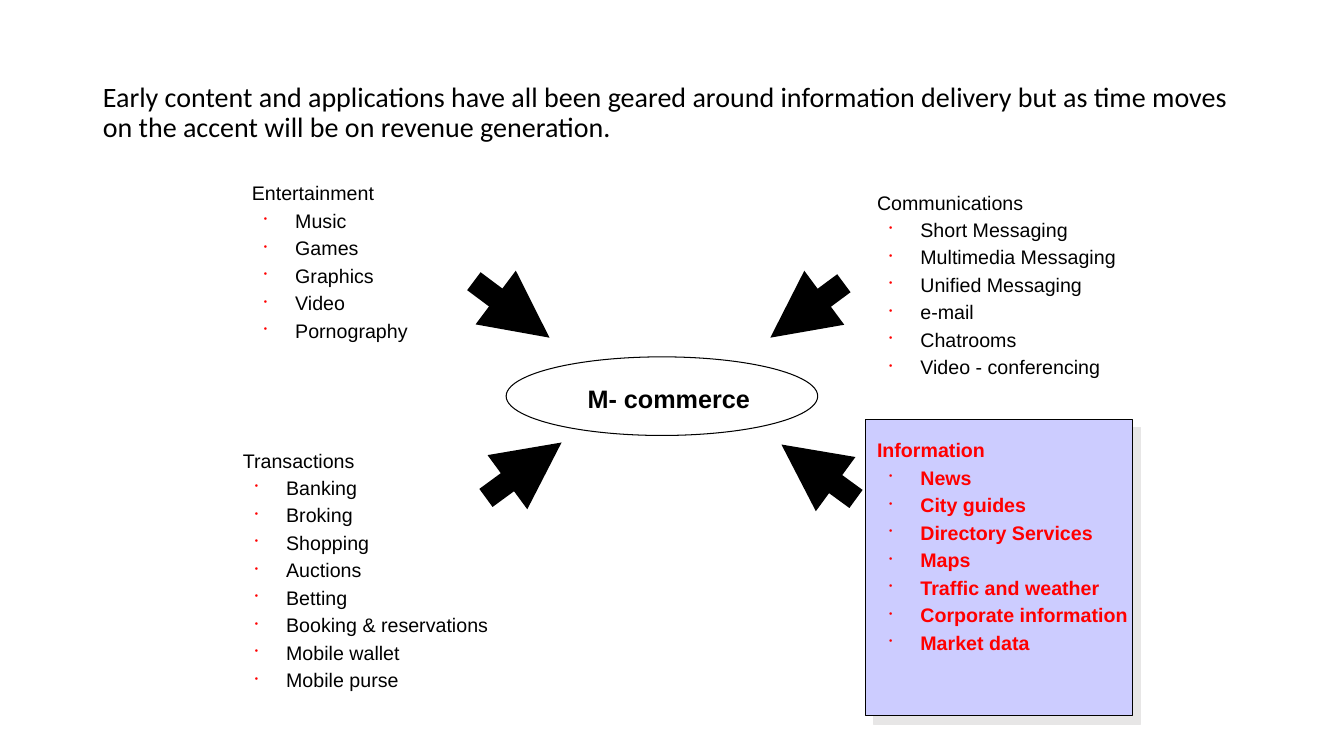
from dataclasses import dataclass

from lxml.etree import SubElement
from pptx import Presentation
from pptx.dml.color import RGBColor
from pptx.enum.shapes import MSO_CONNECTOR, MSO_SHAPE
from pptx.enum.text import MSO_ANCHOR, MSO_AUTO_SIZE, PP_ALIGN
from pptx.oxml.ns import qn
from pptx.shapes.autoshape import Shape
from pptx.slide import Slide
from pptx.util import Inches, Pt

BLACK = RGBColor(0x00, 0x00, 0x00)
RED = RGBColor(0xFF, 0x00, 0x00)
LAVENDER = RGBColor(0xCC, 0xCC, 0xFF)
SHADOW_GRAY = RGBColor(0xE7, 0xE6, 0xE6)


@dataclass
class Category:
    heading: str
    items: list[str]
    left: float
    top: float
    width: float
    highlighted: bool = False


@dataclass
class Arrow:
    start: tuple[float, float]
    end: tuple[float, float]


CATEGORIES = [
    Category("Entertainment", ["Music", "Games", "Graphics", "Video", "Pornography"],
             2.02, 1.75, 2.56),
    Category("Communications",
             ["Short Messaging", "Multimedia Messaging", "Unified Messaging",
              "e-mail", "Chatrooms", "Video - conferencing"],
             8.22, 1.84, 3.45),
    Category("Transactions",
             ["Banking", "Broking", "Shopping", "Auctions", "Betting",
              "Booking & reservations", "Mobile wallet", "Mobile purse"],
             1.93, 4.4, 3.11),
    Category("Information",
             ["News", "City guides", "Directory Services", "Maps",
              "Traffic and weather", "Corporate information", "Market data"],
             8.22, 4.3, 3.45, highlighted=True),
]

ARROWS = [
    Arrow((4.7, 2.79), (5.45, 3.35)),
    Arrow((8.37, 2.81), (7.64, 3.35)),
    Arrow((4.82, 4.94), (5.57, 4.39)),
    Arrow((8.49, 4.95), (7.75, 4.41)),
]


def add_title(slide: Slide, text: str) -> None:
    title = slide.shapes.title
    title.left, title.top = Inches(0.92), Inches(0.4)
    title.width, title.height = Inches(11.5), Inches(1.45)
    frame = title.text_frame
    frame.text = text
    frame.auto_size = MSO_AUTO_SIZE.NONE
    frame.vertical_anchor = MSO_ANCHOR.MIDDLE
    paragraph = frame.paragraphs[0]
    paragraph.alignment = PP_ALIGN.LEFT
    paragraph.line_spacing = 0.9
    paragraph.font.name = "Calibri"
    paragraph.font.size = Pt(20)
    paragraph.font.color.rgb = BLACK


def add_outlined_shape(slide: Slide, kind: MSO_SHAPE, left: float, top: float,
                       width: float, height: float) -> Shape:
    shape = slide.shapes.add_shape(
        kind, Inches(left), Inches(top), Inches(width), Inches(height))
    shape.shadow.inherit = False
    shape.fill.background()
    shape.line.color.rgb = BLACK
    shape.line.width = Pt(0.75)
    return shape


def add_drop_shadow(shape: Shape) -> None:
    effects = shape._element.spPr.find(qn("a:effectLst"))
    shadow = SubElement(effects, qn("a:outerShdw"), dist=str(Pt(8.5)),
                        dir=str(45 * 60000), algn="ctr", rotWithShape="0")
    SubElement(shadow, qn("a:srgbClr"), val=str(SHADOW_GRAY))


def add_arrow(slide: Slide, arrow: Arrow) -> None:
    points = [Inches(value) for value in (*arrow.start, *arrow.end)]
    connector = slide.shapes.add_connector(MSO_CONNECTOR.STRAIGHT, *points)
    connector.line.color.rgb = BLACK
    connector.line.width = Pt(16)
    SubElement(connector.line._get_or_add_ln(), qn("a:tailEnd"), type="triangle")
    SubElement(connector._element.spPr, qn("a:effectLst"))


def add_category(slide: Slide, category: Category) -> None:
    box = slide.shapes.add_textbox(Inches(category.left), Inches(category.top),
                                   Inches(category.width), Inches(1.5))
    frame = box.text_frame
    frame.word_wrap = True
    frame.text = "\n".join([category.heading, *category.items])
    for index, paragraph in enumerate(frame.paragraphs):
        properties = paragraph._p.get_or_add_pPr()
        spacing = SubElement(properties, qn("a:spcBef"))
        SubElement(spacing, qn("a:spcPct"), val="20000")
        if index == 0:
            properties.set("marL", str(Inches(0.38)))
            properties.set("indent", "0")
        else:
            paragraph.level = 1
            properties.set("marL", str(Inches(0.81)))
            properties.set("indent", str(Inches(-0.31)))
            bullet_color = SubElement(properties, qn("a:buClr"))
            SubElement(bullet_color, qn("a:srgbClr"), val=str(RED))
            SubElement(properties, qn("a:buSzPct"), val="50000")
            SubElement(properties, qn("a:buChar"), char="•")
        paragraph.font.name = "Arial"
        paragraph.font.size = Pt(14)
        paragraph.font.bold = category.highlighted
        paragraph.font.color.rgb = RED if category.highlighted else BLACK


def add_center_label(slide: Slide, text: str) -> None:
    label = slide.shapes.add_textbox(
        Inches(5.73), Inches(3.75), Inches(1.81), Inches(0.4))
    frame = label.text_frame
    frame.word_wrap = False
    frame.auto_size = MSO_AUTO_SIZE.SHAPE_TO_FIT_TEXT
    frame.text = text
    font = frame.paragraphs[0].font
    font.name = "Arial"
    font.size = Pt(18)
    font.bold = True
    font.color.rgb = BLACK


def main() -> None:
    presentation = Presentation()
    presentation.slide_width = Inches(13.33)
    presentation.slide_height = Inches(7.5)
    slide = presentation.slides.add_slide(presentation.slide_layouts[5])

    add_title(slide, "Early content and applications have all been geared around "
                     "information delivery but as time moves on the accent will "
                     "be on revenue generation.")

    # Highlight panel behind the information category
    panel = add_outlined_shape(slide, MSO_SHAPE.RECTANGLE, 8.58, 4.16, 2.65, 2.94)
    panel.fill.solid()
    panel.fill.fore_color.rgb = LAVENDER
    add_drop_shadow(panel)

    # Central topic with arrows pointing to it
    add_outlined_shape(slide, MSO_SHAPE.OVAL, 5.02, 3.54, 3.09, 0.78)
    add_center_label(slide, "M- commerce")
    for arrow in ARROWS:
        add_arrow(slide, arrow)

    # Surrounding categories
    for category in CATEGORIES:
        add_category(slide, category)

    presentation.save("out.pptx")


if __name__ == "__main__":
    main()
